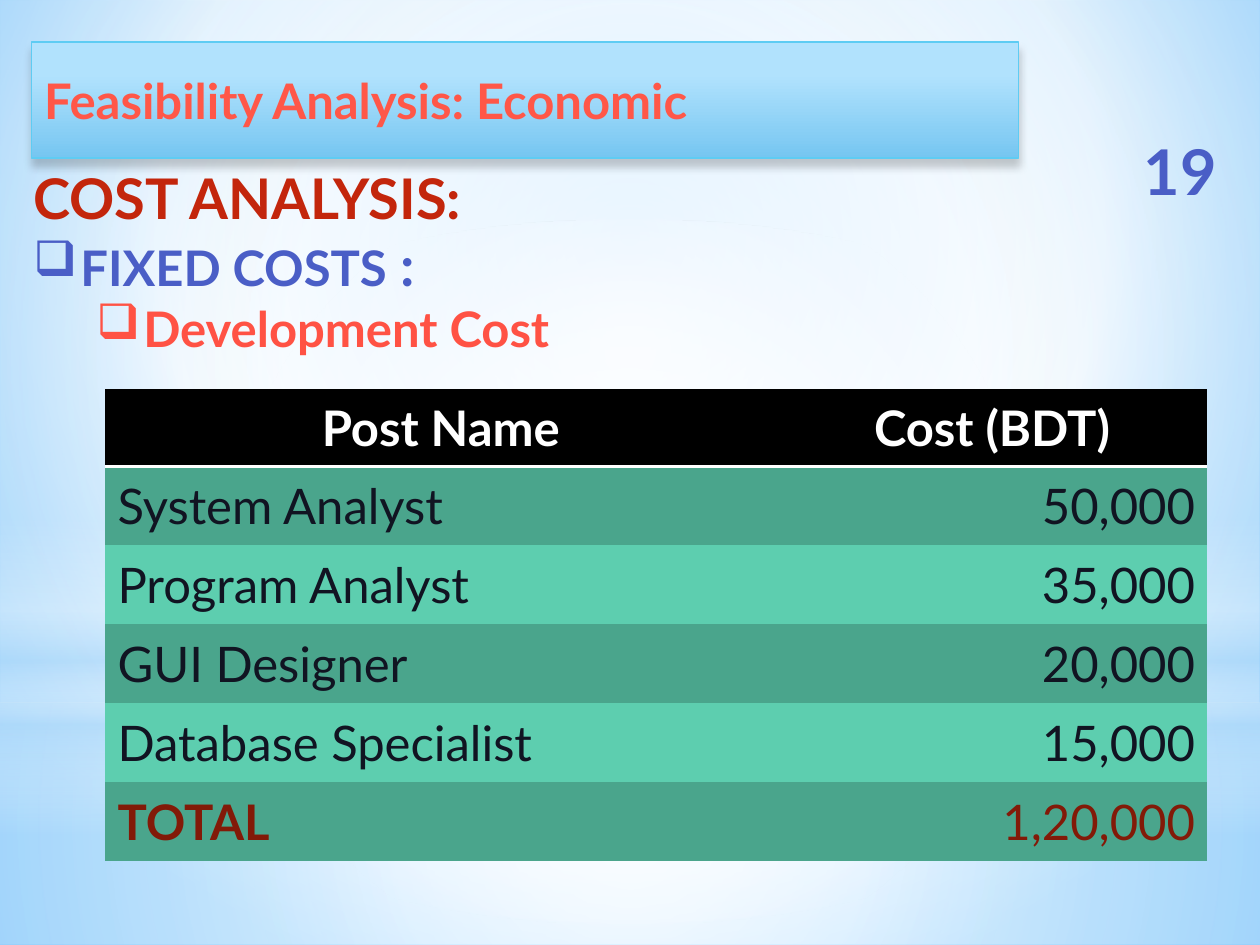
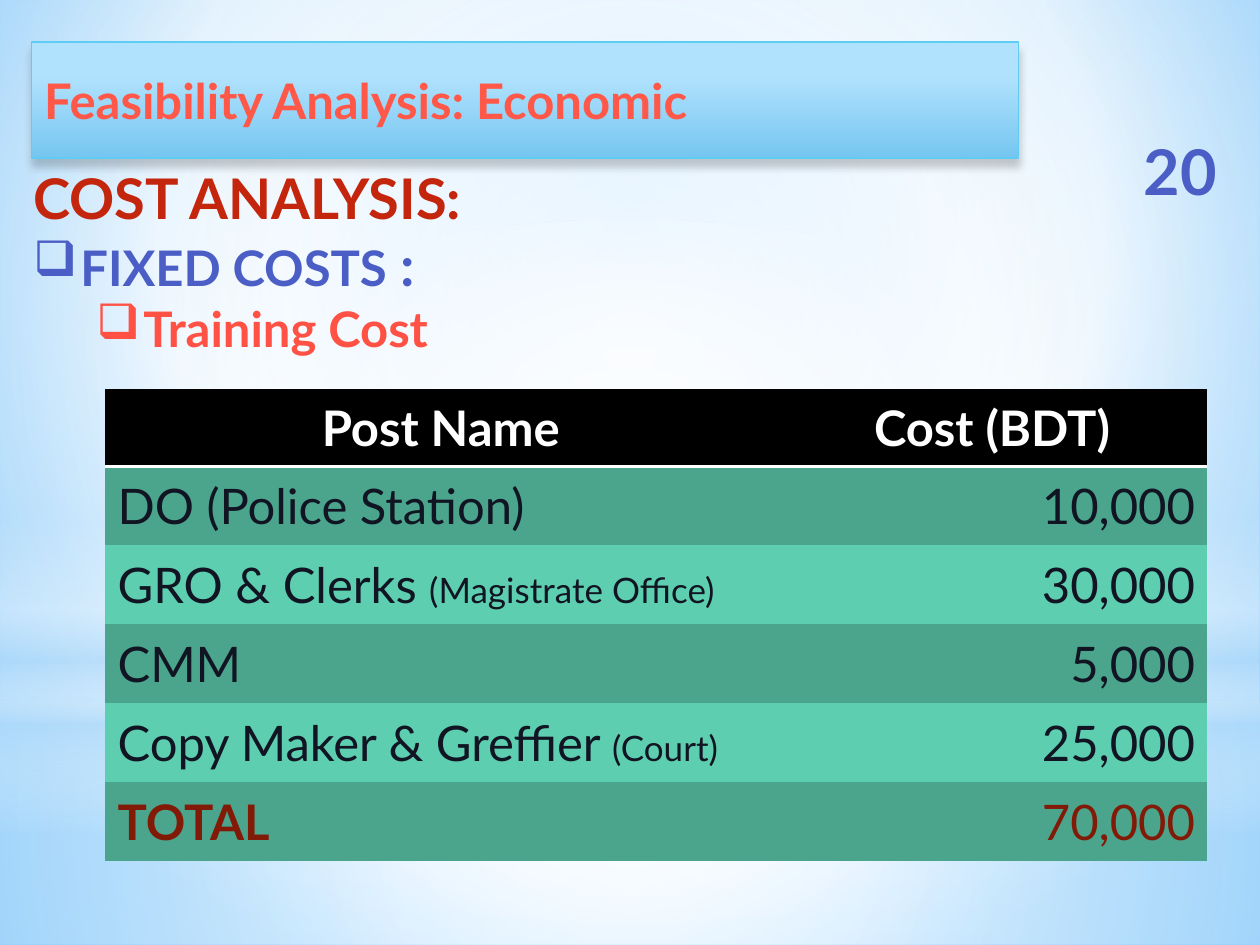
import copy
from dataclasses import dataclass

import lxml.etree
import pptx
import pptx.dml.color
import pptx.enum.shapes
import pptx.enum.text
import pptx.oxml
import pptx.oxml.ns
import pptx.util

SCALE = 914400 / 126
SHAPE = pptx.enum.shapes.MSO_SHAPE
ALIGN = pptx.enum.text.PP_ALIGN
MIDDLE = pptx.enum.text.MSO_ANCHOR.MIDDLE
NO_TABLE_STYLE = "{2D5ABB26-0587-4C30-8999-92F81FD0307C}"
qn = pptx.oxml.ns.qn


@dataclass(frozen=True)
class Gradient:
    """Stops of (position, colour, optional opacity), with an angle or a focus rectangle."""
    stops: tuple
    angle: int = 90
    focus: tuple = ()


@dataclass(frozen=True)
class Theme:
    """Colours, gradients and type sizes of the deck."""
    font: str = "Lato"
    title_size: int = 28
    number_size: int = 36
    heading_size: int = 32
    body_size: int = 28
    note_size: int = 20
    heading: str = "C3260C"
    header_fill: str = "000000"
    header_text: str = "FFFFFF"
    cell_text: str = "111422"
    total_text: str = "821A08"
    bands: tuple = ("4AA58C", "5DCEAF")
    banner_line: str = "5ECCF3"
    shadow: str = "000000"
    banner: Gradient = Gradient(((28, "B1E2FD"), (100, "76C6F1")))
    title: Gradient = Gradient(((0, "FF6155"), (25, "FF5748"), (50, "EF3718"),
                                (75, "FF5748"), (100, "FF6155")))
    blue: Gradient = Gradient(((0, "717FD2"), (49, "4A5EC6"), (50, "324CB5"),
                               (92, "31479D"), (100, "30469A")))
    red: Gradient = Gradient(((0, "8A1300"), (78, "FF5244"), (100, "FFF0F0")))
    background: Gradient = Gradient(((0, "9ED5FF"), (60, "FFFFFF"), (100, "5BB9FF")),
                                    focus=(20, 10, 20, 60))
    floor: Gradient = Gradient(((0, "FFFFFF", 91), (37, "FFFFFF", 76), (100, "B4DCFA", 79)),
                               focus=(50, 50, 50, 50))
    sky: Gradient = Gradient(((0, "FFFFFF", 89), (48, "FFFFFF", 62), (100, "B4DCFA", 79)),
                             focus=(50, 50, 50, 50))
    horizon: Gradient = Gradient(((0, "FFFFFF", 0), (29, "FFFFFF", 30), (45, "B4DCFA", 40),
                                  (55, "FFFFFF", 26), (65, "B4DCFA", 60), (100, "FFFFFF", 0)))
    glow: Gradient = Gradient(((0, "FFFFFF"), (56, "FFFFFF", 0)), focus=(50, 50, 50, 50))


def px(n):
    """Turn pixels into EMU."""
    return pptx.util.Emu(round(n * SCALE))


def rgb(color):
    """Turn a hex string into a colour."""
    return pptx.dml.color.RGBColor.from_string(color)


def add(parent, tag, **attrs):
    """Append a child element with attributes."""
    child = lxml.etree.SubElement(parent, qn(tag))
    for key, value in attrs.items():
        child.set(key, str(value))
    return child


def paint(fill, parent, color):
    """Fill with a colour or a gradient; parent holds the fill element."""
    if isinstance(color, str):
        fill.solid()
        fill.fore_color.rgb = rgb(color)
        return
    fill.gradient()
    grad = parent.find(qn("a:gradFill"))
    for child in list(grad):
        grad.remove(child)
    stops = add(grad, "a:gsLst")
    for pos, value, *opacity in color.stops:
        stop = add(stops, "a:gs", pos=pos * 1000)
        clr = add(stop, "a:srgbClr", val=value)
        if opacity:
            add(clr, "a:alpha", val=opacity[0] * 1000)
    if color.focus:
        route = add(grad, "a:path", path="circle")
        add(route, "a:fillToRect", **{k: v * 1000 for k, v in zip("ltrb", color.focus)})
    else:
        add(grad, "a:lin", ang=color.angle * 60000, scaled=0)


class Deck:
    """Holds the theme, the presentation and the current slide."""

    def __init__(self, theme):
        """Open a presentation of the right size."""
        self.theme = theme
        self.prs = pptx.Presentation()
        self.prs.slide_width, self.prs.slide_height = px(1260), px(945)
        self.s = None

    def new_slide(self):
        """Start a title-only slide."""
        self.s = self.prs.slides.add_slide(self.prs.slide_layouts[5])

    def style(self, font, size, color, bold=True):
        """Set face, size, weight and colour of a font."""
        font.name, font.size, font.bold = self.theme.font, pptx.util.Pt(size), bold
        paint(font.fill, font.fill._xPr, color)

    def backdrop(self):
        """Put the background and its glowing layers on the slide master."""
        t, master = self.theme, self.prs.slide_master
        fill = master.background.fill
        fill.solid()
        paint(fill, next(master.element.iter(qn("p:bgPr"))), t.background)
        layers = ((SHAPE.RECTANGLE, 703, 242, t.floor), (SHAPE.RECTANGLE, 0, 703, t.sky),
                  (SHAPE.RECTANGLE, 519, 315, t.horizon), (SHAPE.OVAL, 220, 703, t.glow))
        for i, (kind, top, height, gradient) in enumerate(layers):
            sp = self.s.shapes.add_shape(kind, 0, px(top), px(1260), px(height))
            sp.shadow.inherit = False
            sp.line.fill.background()
            paint(sp.fill, sp.element.spPr, gradient)
            master.shapes.element.insert(2 + i, sp.element)

    def title(self, text):
        """Format the title placeholder as a rounded banner."""
        t, sp = self.theme, self.s.shapes.title
        sp.left, sp.top, sp.width, sp.height = px(31.5), px(42), px(987), px(116)
        pr = sp.element.spPr
        add(add(pr, "a:prstGeom", prst="roundRect"), "a:avLst")
        paint(sp.fill, pr, t.banner)
        sp.line.color.rgb, sp.line.width = rgb(t.banner_line), pptx.util.Pt(0.75)
        shadow = add(add(pr, "a:effectLst"), "a:outerShdw", blurRad=pptx.util.Pt(5),
                     dist=pptx.util.Pt(4), dir=90 * 60000, rotWithShape=0)
        add(add(shadow, "a:srgbClr", val=t.shadow), "a:alpha", val=20000)
        tf = sp.text_frame
        tf.text, tf.vertical_anchor = text, MIDDLE
        tf.auto_size = pptx.enum.text.MSO_AUTO_SIZE.NONE
        p = tf.paragraphs[0]
        p.alignment = ALIGN.LEFT
        self.style(p.font, t.title_size, t.title)

    def textbox(self, left, top, width, height):
        """Add a wrapping text box and return its frame."""
        tf = self.s.shapes.add_textbox(px(left), px(top), px(width), px(height)).text_frame
        tf.word_wrap = True
        return tf

    def number(self, n):
        """Write the slide number."""
        tf = self.textbox(1119, 136, 123, 68)
        tf.text, tf.vertical_anchor = str(n), MIDDLE
        p = tf.paragraphs[0]
        p.alignment = ALIGN.CENTER
        self.style(p.font, self.theme.number_size, self.theme.blue)

    def bullet(self, p, indent):
        """Give a paragraph a hanging box bullet."""
        pr = p._p.get_or_add_pPr()
        pr.set("marL", str(px(indent)))
        pr.set("indent", str(px(-47)))
        mark = lxml.etree.Element(qn("a:buChar"), char="\u2751")
        pr.insert(0, mark)

    def outline(self, heading, group, item):
        """Write the heading with its two bullet levels."""
        t = self.theme
        tf = self.textbox(21, 157.5, 1205, 208)
        tf.auto_size = pptx.enum.text.MSO_AUTO_SIZE.SHAPE_TO_FIT_TEXT
        tf.text = heading
        self.style(tf.paragraphs[0].font, t.heading_size, t.heading)
        for level, (text, color) in enumerate(((group, t.blue), (item, t.red))):
            p = tf.add_paragraph()
            p.level = level
            p.add_run().text = text
            self.style(p.font, t.body_size, color)
            self.bullet(p, 47 + 63 * level)
            if level == 0:
                r = p.add_run()
                r.text, r.font.size = " :", pptx.util.Pt(t.heading_size)

    def cell(self, cell, text, fill, color, bold, align):
        """Fill one table cell; text after a bar is set small."""
        paint(cell.fill, cell._tc.get_or_add_tcPr(), fill)
        cell.vertical_anchor = MIDDLE
        p = cell.text_frame.paragraphs[0]
        p.alignment = align
        self.style(p.font, self.theme.body_size, color, bold)
        main, _, note = text.partition("|")
        p.add_run().text = main
        if note:
            r = p.add_run()
            r.text, r.font.size = note, pptx.util.Pt(self.theme.note_size)

    def underline(self, cell):
        """Draw the rule under a header cell."""
        line = lxml.etree.Element(qn("a:lnB"), w=str(pptx.util.Pt(2)))
        add(add(line, "a:solidFill"), "a:srgbClr", val=self.theme.header_text)
        cell._tc.get_or_add_tcPr().insert(0, line)

    def table(self, header, rows):
        """Add the cost table with a header, banded rows and a total."""
        t, last = self.theme, len(rows)
        table = self.s.shapes.add_table(last + 1, 2, px(105), px(388.5), px(1102.5),
                                        px(78 + 79 * last)).table
        table._tbl.tblPr.find(qn("a:tableStyleId")).text = NO_TABLE_STYLE
        table.columns[0].width, table.columns[1].width = px(671.5), px(431)
        for i, row in enumerate([header] + rows):
            table.rows[i].height = px(79 if i else 78)
            for j, text in enumerate(row):
                cell = table.cell(i, j)
                if i == 0:
                    self.cell(cell, text, t.header_fill, t.header_text, True, ALIGN.CENTER)
                    self.underline(cell)
                    continue
                color = t.total_text if i == last else t.cell_text
                self.cell(cell, text, t.bands[(i - 1) % 2], color, i == last and j == 0,
                          ALIGN.RIGHT if j else ALIGN.LEFT)


def main():
    """Build the two cost slides."""
    deck = Deck(Theme())
    costs = (
        (19, "Development Cost", [
            ("System Analyst", "50,000"), ("Program Analyst", "35,000"),
            ("GUI Designer", "20,000"), ("Database Specialist", "15,000"),
            ("TOTAL", "1,20,000")]),
        (20, "Training Cost", [
            ("DO (Police Station)", "10,000"), ("GRO & Clerks |(Magistrate Office)", "30,000"),
            ("CMM", "5,000"), ("Copy Maker & Greffier |(Court)", "25,000"),
            ("TOTAL", "70,000")]),
    )
    for i, (number, item, rows) in enumerate(costs):
        deck.new_slide()
        if i == 0:
            deck.backdrop()
        deck.title("Feasibility Analysis: Economic")
        deck.number(number)
        deck.outline("COST ANALYSIS:", "FIXED COSTS", item)
        deck.table(("Post Name", "Cost (BDT)"), rows)
    deck.prs.save("out.pptx")


main()
